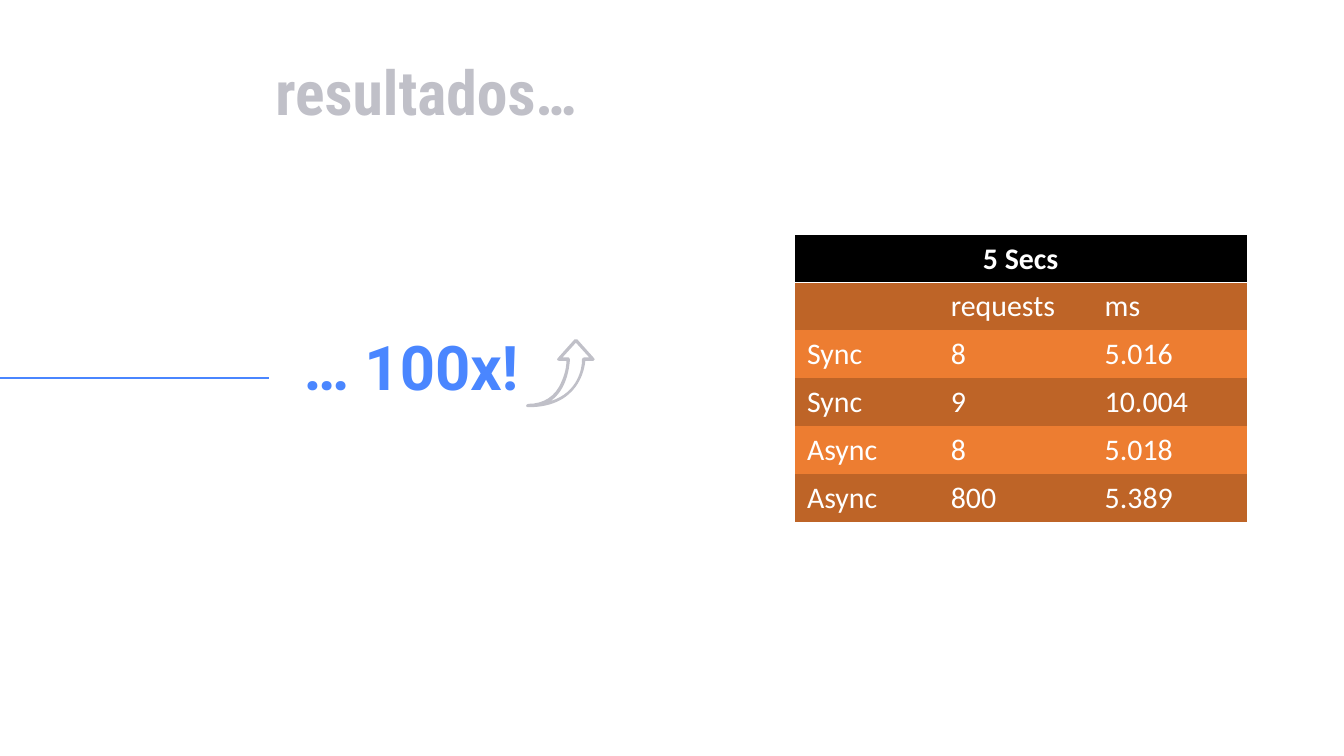
import dataclasses

import lxml.etree
import pptx
import pptx.dml.color
import pptx.enum.shapes
import pptx.enum.text
import pptx.oxml
import pptx.oxml.ns
import pptx.util

PX = 9144
PLAIN = "{2D5ABB26-0587-4C30-8999-92F81FD0307C}"
ROWS = [
    ("5 Secs", "", ""),
    ("", "requests", "ms"),
    ("Sync", "8", "5.016"),
    ("Sync", "9", "10.004"),
    ("Async", "8", "5.018"),
    ("Async", "800", "5.389"),
]
OUTER = [
    (884, 533), (859, 505), (855, 505), (830, 533),
    (829, 533, 829, 534, 829, 535), (829, 536, 831, 537, 832, 537),
    (843, 537), (843, 541, 842, 554, 836, 567),
    (827, 590, 809, 601, 786, 601), (784, 601, 783, 603, 783, 604),
    (783, 605, 784, 606, 786, 606), (861, 606, 870, 549, 871, 537),
    (883, 537), (884, 537, 885, 536, 885, 535),
    (885, 534, 885, 533, 884, 533),
]
INNER = [
    (869, 532), (868, 532, 866, 533, 866, 535), (866, 537),
    (866, 547, 861, 584, 819, 597), (844, 580, 847, 546, 848, 537),
    (848, 535), (848, 533, 847, 532, 846, 532),
    (837, 532), (857, 510), (877, 532),
]


@dataclasses.dataclass(frozen=True)
class Theme:
    """Colours, fonts and type sizes of the slide."""
    blue: str = "4A86FF"
    grey: str = "C0C0C8"
    white: str = "FFFFFF"
    black: str = "000000"
    rust: str = "BE6427"
    orange: str = "ED7D31"
    title: str = "Roboto Condensed"
    body: str = "Roboto"
    grid: str = "Calibri"
    large: int = 66
    small: int = 32
    rule: int = 2


THEME = Theme()


def px(count):
    """Turn px into EMU."""
    return pptx.util.Emu(count * PX)


def shade(code):
    """Turn a hex code into a colour."""
    return pptx.dml.color.RGBColor.from_string(code)


def write(frame, text, font, size, color, bold=False, center=False):
    """Put formatted text into a text frame."""
    para = frame.paragraphs[0]
    if center:
        para.alignment = pptx.enum.text.PP_ALIGN.CENTER
    run = para.add_run()
    run.text = text
    run.font.name = font
    run.font.size = pptx.util.Pt(size)
    run.font.bold = bold
    run.font.color.rgb = shade(color)


def label(slide, text, left, top, width, height, **style):
    """Add a text box with one bold line."""
    frame = slide.shapes.add_textbox(px(left), px(top), px(width), px(height)).text_frame
    frame.word_wrap = True
    write(frame, text, size=THEME.large, bold=True, **style)


def rule(slide, start, end, color):
    """Add a straight line without a shadow."""
    line = slide.shapes.add_connector(
        pptx.enum.shapes.MSO_CONNECTOR.STRAIGHT, *map(px, start + end))
    line.line.color.rgb = shade(color)
    line.line.width = pptx.util.Pt(THEME.rule)
    lxml.etree.SubElement(line._element.spPr, pptx.oxml.ns.qn("a:effectLst"))


def bend(shape, steps):
    """Turn the six-number steps of an outline into cubic curves."""
    name = pptx.oxml.ns.qn
    left, top = shape.left // PX, shape.top // PX
    for node, step in zip(list(shape._element.iter(name("a:lnTo"))), steps):
        if len(step) == 2:
            continue
        curve = lxml.etree.Element(name("a:cubicBezTo"))
        for x, y in zip(step[::2], step[1::2]):
            lxml.etree.SubElement(curve, name("a:pt"), x=str(x - left), y=str(y - top))
        node.getparent().replace(node, curve)


def arrow(slide, color):
    """Add the bent outline arrow."""
    build = slide.shapes.build_freeform(*OUTER[0], scale=PX)
    build.add_line_segments([step[-2:] for step in OUTER[1:]], close=True)
    build.move_to(*INNER[0])
    build.add_line_segments([step[-2:] for step in INNER[1:]], close=True)
    shape = build.convert_to_shape()
    bend(shape, OUTER[1:] + INNER[1:])
    shape.shadow.inherit = False
    shape.fill.solid()
    shape.fill.fore_color.rgb = shade(color)
    shape.line.fill.background()


def edge(cell, side, color=None):
    """Set one border of a cell, clear when no colour is given."""
    space = pptx.oxml.ns.nsdecls("a")
    width = pptx.util.Pt(THEME.rule)
    fill = (f'<a:solidFill><a:srgbClr val="{color}"/></a:solidFill>'
            if color else "<a:noFill/>")
    line = pptx.oxml.parse_xml(
        f'<a:{side} {space} w="{width}">{fill}</a:{side}>')
    cell._tc.get_or_add_tcPr().insert(0, line)


def grid(slide, left, top, widths, height):
    """Add the banded table of results."""
    table = slide.shapes.add_table(
        len(ROWS), len(widths), px(left), px(top),
        px(sum(widths)), px(height * len(ROWS))).table
    table.first_row = table.horz_banding = False
    table._tbl.tblPr.find(pptx.oxml.ns.qn("a:tableStyleId")).text = PLAIN
    for column, width in zip(table.columns, widths):
        column.width = px(width)
    for row, texts in enumerate(ROWS):
        table.rows[row].height = px(height)
        band = (THEME.orange, THEME.rust)[row % 2] if row else THEME.black
        for column, text in enumerate(texts):
            cell = table.cell(row, column)
            cell.fill.solid()
            cell.fill.fore_color.rgb = shade(band)
            cell.margin_left = cell.margin_right = px(18)
            cell.margin_top = cell.margin_bottom = px(9)
            edge(cell, "lnB", THEME.white if row == 0 else None)
            edge(cell, "lnT", THEME.white if row == 1 else None)
            if text:
                write(cell.text_frame, text, font=THEME.grid, size=THEME.small,
                      color=THEME.white, bold=row == 0, center=row == 0)
    table.cell(0, 0).merge(table.cell(0, len(widths) - 1))


def main():
    """Build and save the slide."""
    deck = pptx.Presentation()
    deck.slide_width, deck.slide_height = px(2000), px(1125)
    slide = deck.slides.add_slide(deck.slide_layouts[6])
    label(slide, "… 100x!", 442, 485, 492, 121, font=THEME.body, color=THEME.blue)
    rule(slide, (400, 562), (0, 562), THEME.blue)
    label(slide, "resultados…", 400, 76, 750, 121, font=THEME.title, color=THEME.grey)
    arrow(slide, THEME.grey)
    grid(slide, 1183, 349, (214, 229, 229), 71)
    deck.save("out.pptx")


if __name__ == "__main__":
    main()
